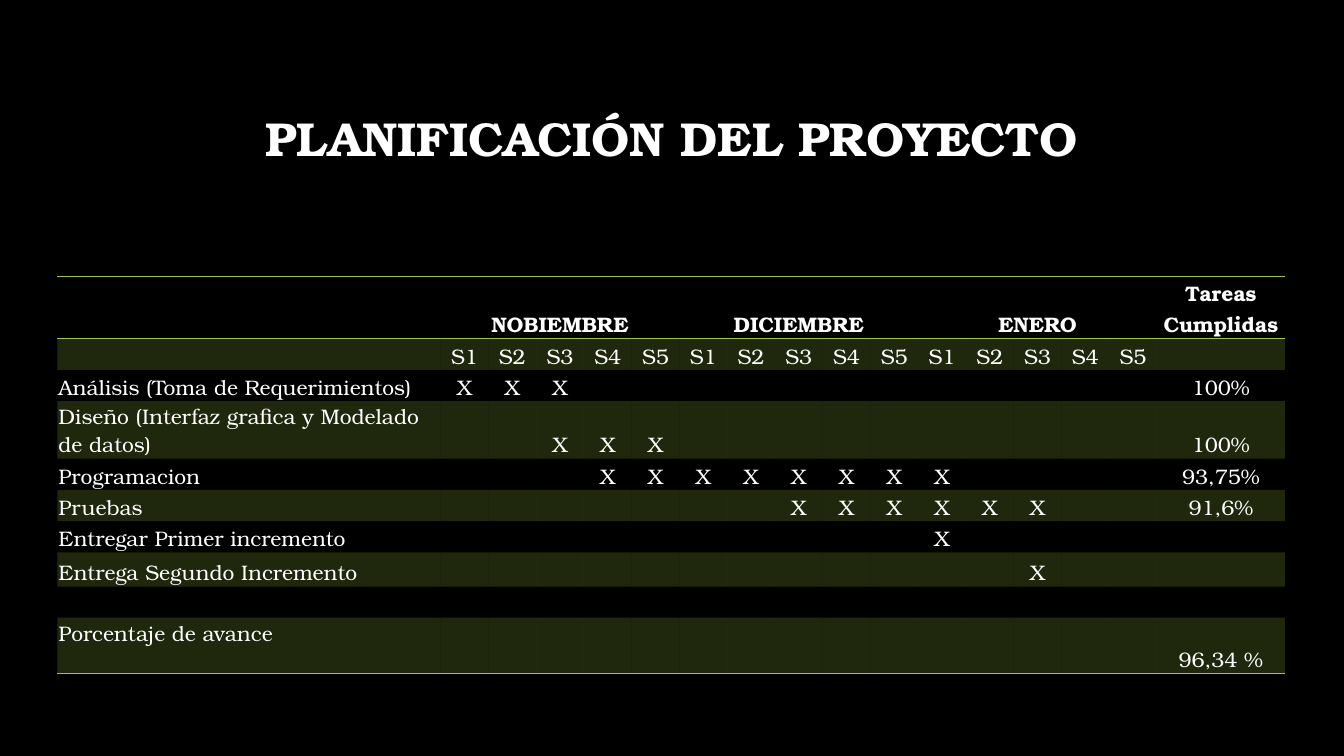
from dataclasses import dataclass
from lxml.etree import SubElement
from pptx import Presentation
from pptx.dml.color import RGBColor
from pptx.enum.shapes import MSO_SHAPE as Shape
from pptx.enum.text import MSO_ANCHOR as Anchor, PP_ALIGN as Align
from pptx.oxml.ns import qn
from pptx.util import Inches, Pt


@dataclass(frozen=True)
class Theme:
    font: str = "TeX Gyre Bonum"
    black: str = "000000"
    white: str = "FFFFFF"
    green: str = "9EC544"
    title_size: int = 34
    table_size: int = 15
    rule_width: int = 1
    band_alpha: int = 20
    panel_alpha: int = 50


theme = Theme()


def write(frame, text, size=theme.table_size, bold=False, align=Align.CENTER, spacing=None):
    paragraph = frame.paragraphs[0]
    paragraph.alignment = align
    paragraph.line_spacing = spacing
    if not text:  # an empty cell keeps the table's type size
        SubElement(paragraph._p, qn("a:endParaRPr"), sz=str(size * 100))
        return
    run = paragraph.add_run()
    run.text = text
    run.font.name = theme.font
    run.font.size = Pt(size)
    run.font.bold = bold
    run.font.color.rgb = RGBColor.from_string(theme.white)


def fill_with(fill, color, alpha):
    fill.solid()
    fill.fore_color.rgb = RGBColor.from_string(color)
    tint = fill._xPr.find(qn("a:solidFill"))[0]
    SubElement(tint, qn("a:alpha"), val=str(alpha * 1000))


# Slide
deck = Presentation()
deck.slide_width, deck.slide_height = Inches(13.33), Inches(7.5)
slide = deck.slides.add_slide(deck.slide_layouts[6])
slide.background.fill.solid()
slide.background.fill.fore_color.rgb = RGBColor.from_string(theme.black)

# Title
title = slide.shapes.add_textbox(Inches(1), Inches(0.67), Inches(11.32), Inches(1.45)).text_frame
title.word_wrap = True
title.vertical_anchor = Anchor.MIDDLE
write(title, "PLANIFICACIÓN DEL PROYECTO", size=theme.title_size, bold=True, spacing=0.9)

# Panel behind the schedule
panel = slide.shapes.add_shape(Shape.RECTANGLE, 0, Inches(2.29), Inches(13.33), Inches(5.21))
panel.shadow.inherit = False
panel.line.fill.background()
fill_with(panel.fill, theme.black, theme.panel_alpha)

# Schedule content: task, first and last week marked, progress, row height
months = ["NOBIEMBRE", "DICIEMBRE", "ENERO"]
weeks = ["S1", "S2", "S3", "S4", "S5"]
tasks = [
    ("Análisis (Toma de Requerimientos)", 1, 3, "100%", 0.31),
    ("Diseño (Interfaz grafica y Modelado de datos)", 3, 5, "100%", 0.57),
    ("Programacion", 4, 11, "93,75%", 0.31),
    ("Pruebas", 8, 13, "91,6%", 0.31),
    ("Entregar Primer incremento", 11, 11, "", 0.31),
    ("Entrega Segundo Incremento", 13, 13, "", 0.34),
    ("", 0, 0, "", 0.31),
    ("Porcentaje de avance", 0, 0, "96,34 %", 0.55),
]
week_count = len(months) * len(weeks)
month_cells = [month if week == weeks[0] else "" for month in months for week in weeks]
rows = [["", *month_cells, "Tareas Cumplidas"], ["", *weeks * len(months), ""]]
heights = [0.62, 0.31]
for task, first, last, progress, height in tasks:
    marks = ["X" if first <= week <= last else "" for week in range(1, week_count + 1)]
    rows.append([task, *marks, progress])
    heights.append(height)

# Schedule grid
table_width, task_width, progress_width = 12.18, 3.8, 1.27
week_width = (table_width - task_width - progress_width) / week_count
schedule = slide.shapes.add_table(
    len(rows), week_count + 2, Inches(0.57), Inches(2.74), Inches(table_width), Inches(sum(heights))
).table
schedule.first_row = schedule.horz_banding = False
schedule._tbl.tblPr.find(qn("a:tableStyleId")).text = "{2D5ABB26-0587-4C30-8999-92F81FD0307C}"
for column, width in zip(schedule.columns, [task_width, *[week_width] * week_count, progress_width]):
    column.width = Inches(width)
for row, height in zip(schedule.rows, heights):
    row.height = Inches(height)
for start in range(1, week_count, len(weeks)):
    schedule.cell(0, start).merge(schedule.cell(0, start + len(weeks) - 1))

# Schedule cells
last_row = len(rows) - 1
rules = {0: ["a:lnT", "a:lnB"], last_row: ["a:lnB"]}
for row_index, row in enumerate(rows):
    for column_index, text in enumerate(row):
        cell = schedule.cell(row_index, column_index)
        is_task = column_index == 0
        cell.margin_left = cell.margin_right = cell.margin_top = Inches(0.01)
        cell.margin_bottom = 0
        cell.vertical_anchor = Anchor.TOP if is_task and row_index == last_row else Anchor.BOTTOM
        write(cell.text_frame, text, bold=row_index == 0, align=Align.LEFT if is_task else Align.CENTER)
        for side in rules.get(row_index, []):
            rule = SubElement(cell._tc.tcPr, qn(side), w=str(Pt(theme.rule_width)))
            SubElement(SubElement(rule, qn("a:solidFill")), qn("a:srgbClr"), val=theme.green)
        if row_index % 2:
            fill_with(cell.fill, theme.green, theme.band_alpha)
        else:
            cell.fill.background()

deck.save("out.pptx")
